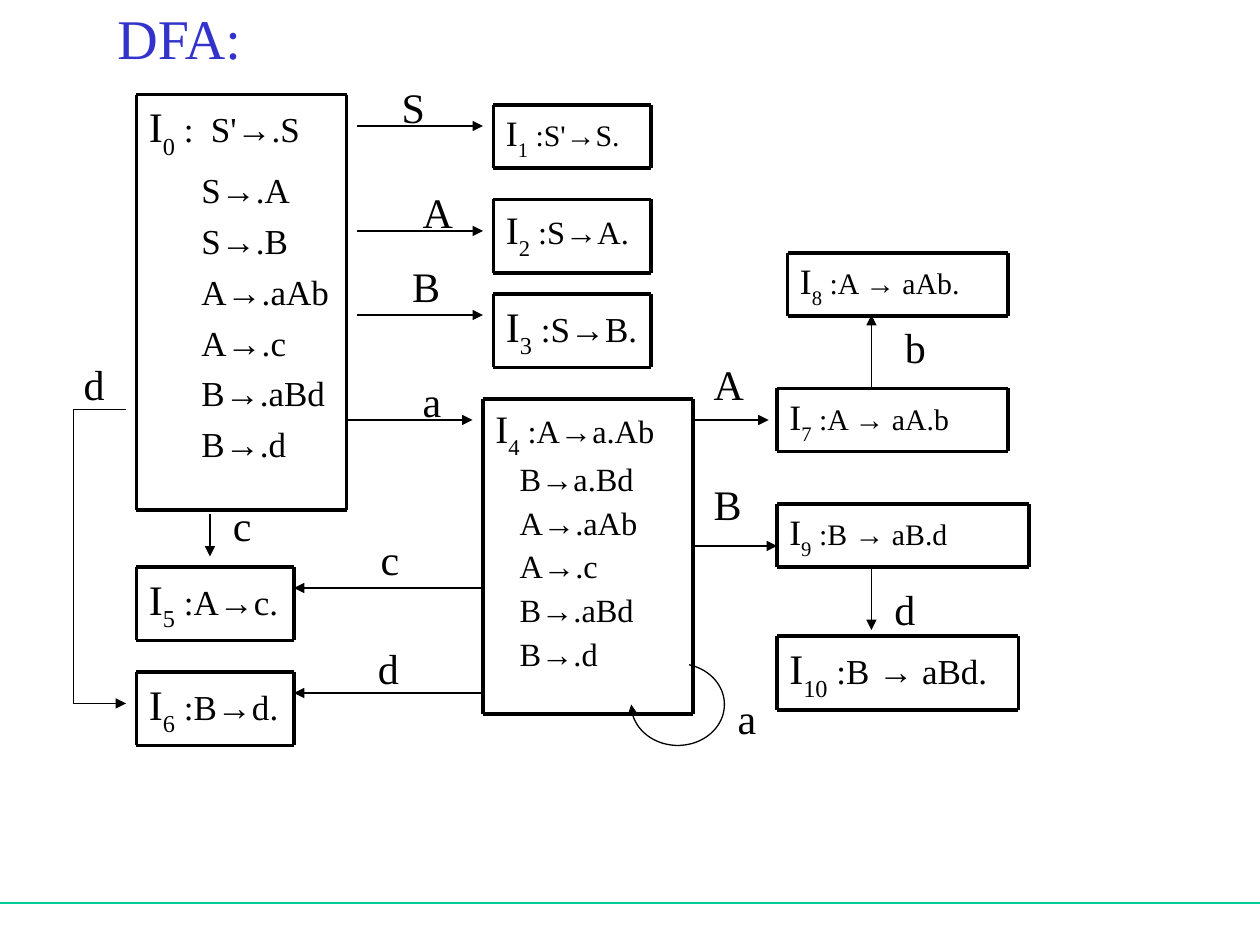
import math
import pptx
import pptx.util
import pptx.dml.color
import pptx.enum.shapes
import pptx.enum.text
from lxml import etree

deck = pptx.Presentation()
deck.slide_width = pptx.util.Inches(10)
deck.slide_height = pptx.util.Inches(7.5)
slide = deck.slides.add_slide(deck.slide_layouts[6])
cell = deck.slide_width / 120
anchors = pptx.enum.text.MSO_ANCHOR


def ink(target, size, color="000000"):
    target.font.name = "Times New Roman"
    target.font.size = pptx.util.Pt(size)
    target.font.color.rgb = pptx.dml.color.RGBColor.from_string(color)


def stroke(shape, width, color="000000", arrow=False):
    shape.line.width = pptx.util.Pt(width)
    shape.line.color.rgb = pptx.dml.color.RGBColor.from_string(color)
    properties = shape.element.spPr
    if properties.find(pptx.oxml.ns.qn("a:effectLst")) is None:
        etree.SubElement(properties, pptx.oxml.ns.qn("a:effectLst"))
    if arrow:
        outline = properties.get_or_add_ln()
        etree.SubElement(outline, pptx.oxml.ns.qn("a:tailEnd"), type="triangle")


heading = slide.shapes.add_textbox(*[round(n * cell) for n in (10, 0, 47, 7)])
heading.text_frame.word_wrap = True
heading.text_frame.vertical_anchor = anchors.MIDDLE
heading.text_frame.text = "DFA:"
ink(heading.text_frame.paragraphs[0].runs[0], 32, "3333CC")

states = [
    ("0", 13, 9, 20, 39.6, 20, 5,
     [" :\tS'→.S", "S→.A", "S→.B", "A→.aAb", "A→.c", "B→.aBd", "B→.d"]),
    ("1", 47, 10, 15, 6, 17, 0, [" :S'→S."]),
    ("2", 47, 19, 15, 7, 18.5, 0, [" :S→A."]),
    ("3", 47, 28, 15, 7, 20, 0, [" :S→B."]),
    ("4", 46, 38, 20, 30, 18.5, 2.3,
     [" :A→a.Ab", "B→a.Bd", "A→.aAb", "A→.c", "B→.aBd", "B→.d"]),
    ("8", 75, 24.1, 21, 6, 17, 0, [" :A → aAb."]),
    ("7", 74, 37, 22, 6, 17, 0, [" :A → aA.b"]),
    ("9", 74, 48, 24, 6, 17, 0, [" :B → aB.d"]),
    ("10", 74, 60.6, 23, 7, 20, 0, [" :B → aBd."]),
    ("5", 13, 54, 15, 7, 20, 0, [" :A→c."]),
    ("6", 13, 64, 15, 7, 20, 0, [" :B→d."]),
]
borders = []
for number, left, top, width, height, size, indent, items in states:
    state = slide.shapes.add_textbox(*[round(n * cell) for n in (left, top, width, height)])
    state.text_frame.word_wrap = True
    right, bottom = left + width, top + height
    borders += [(left, top, right, top), (left, bottom, right, bottom),
                (left, top, left, bottom), (right, top, right, bottom)]
    for index, item in enumerate(items):
        if index == 0:
            production = state.text_frame.paragraphs[0]
            layout = production._p.get_or_add_pPr()
            if "\t" in item:
                tabs = etree.SubElement(layout, pptx.oxml.ns.qn("a:tabLst"))
                etree.SubElement(tabs, pptx.oxml.ns.qn("a:tab"), pos=str(round(5.9 * cell)), algn="l")
            pieces = [("I", 1.2 * size), (number, 1.2 * size), (item, size)]
        else:
            production = state.text_frame.add_paragraph()
            production._p.get_or_add_pPr().set("marL", str(round(indent * cell)))
            production.space_before = pptx.util.Pt(5)
            pieces = [(item, size)]
        if size < 20:
            production.line_spacing = 0.9
        for words, points in pieces:
            run = production.add_run()
            run.text = words
            ink(run, points)
        if index == 0:
            production.runs[1]._r.get_or_add_rPr().set("baseline", "-30000")

transitions = [
    (34, 12, 46, 12), (34, 22, 46, 22), (34, 30, 46, 30), (33, 40, 45, 40),
    (66.1, 40, 73.2, 40), (66, 52, 74, 52), (83, 37, 83, 30), (83, 54, 83, 60),
    (20, 49, 20, 53), (46, 56, 28, 56), (46, 66, 28, 66), (7, 67, 12, 67),
]
plain_lines = [(7, 39, 12, 39), (7, 39, 7, 67)]
footer_rule = (0, 86, 120, 86)
for ends in [footer_rule] + borders + transitions + plain_lines:
    edge = slide.shapes.add_connector(
        pptx.enum.shapes.MSO_CONNECTOR.STRAIGHT, *[round(n * cell) for n in ends])
    stroke(edge, 2.25 if ends in borders else 0.75,
           "00CC99" if ends == footer_rule else "000000", ends in transitions)

loop_points = [
    (round((64.56 + 4.44 * math.cos(math.radians(angle))) * cell),
     round((67.1 + 3.9 * math.sin(math.radians(angle))) * cell))
    for angle in range(-76, 181, 4)
]
outline_builder = slide.shapes.build_freeform(*loop_points[0])
outline_builder.add_line_segments(loop_points[1:], close=False)
self_loop = outline_builder.convert_to_shape()
self_loop.shadow.inherit = False
self_loop.fill.background()
stroke(self_loop, 0.75, arrow=True)

roomy = (1.2, 0.6, anchors.TOP)
tight = (0.24, 0, anchors.MIDDLE)
labels = [
    ("A", 66.8, 33.6, 5.3, 6, roomy), ("B", 66.8, 45, 5, 6, roomy),
    ("d", 84, 55, 4.3, 6, roomy), ("b", 85, 30, 4.3, 6, roomy),
    ("c", 21, 47, 4.2, 6, roomy), ("d", 34.8, 60.6, 4.3, 6, roomy),
    ("d", 6.8, 33.6, 4.3, 6, roomy), ("a", 70, 66, 4, 4.8, tight),
    ("c", 36, 52, 2.3, 2.4, tight), ("S", 38, 9, 2.3, 2.4, tight),
    ("A", 40, 19, 2.3, 2.4, tight), ("B", 39, 26, 2.3, 2.4, tight),
    ("a", 40, 37, 2.3, 2.4, tight),
]
for symbol, left, top, width, height, (side, edge_gap, anchor) in labels:
    label = slide.shapes.add_textbox(*[round(n * cell) for n in (left, top, width, height)])
    frame = label.text_frame
    frame.word_wrap = width == 4
    frame.vertical_anchor = anchor
    frame.margin_left = frame.margin_right = round(side * cell)
    frame.margin_top = frame.margin_bottom = round(edge_gap * cell)
    frame.text = symbol
    ink(frame.paragraphs[0].runs[0], 24)

deck.save("out.pptx")
